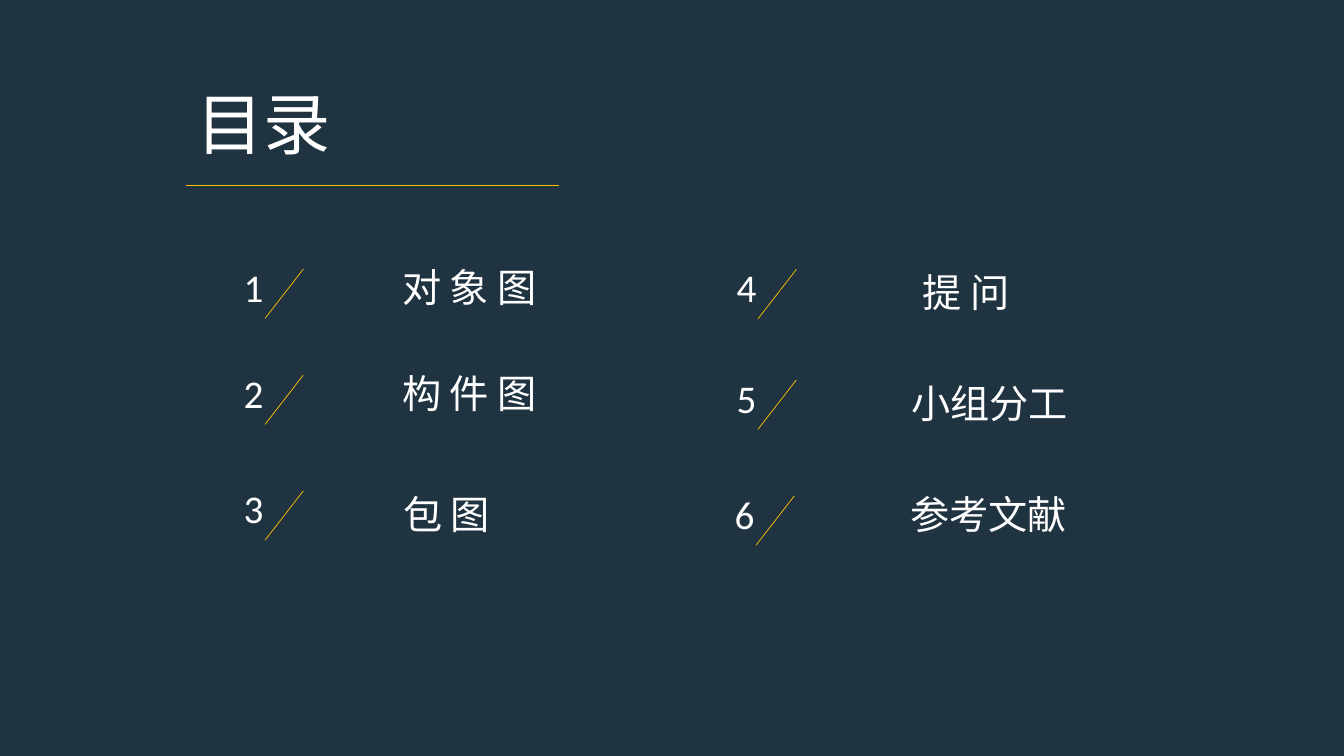
from dataclasses import dataclass

from lxml import etree
from pptx import Presentation
from pptx.dml.color import RGBColor
from pptx.enum import shapes, text
from pptx.oxml import ns
from pptx.util import Pt

NAVY = RGBColor(0x20, 0x33, 0x41)
GOLD = RGBColor(0xFF, 0xC0, 0x00)
WHITE = RGBColor(0xFF, 0xFF, 0xFF)
INSET = 7.2
LEFT, CENTER = text.PP_ALIGN.LEFT, text.PP_ALIGN.CENTER


@dataclass
class Entry:
    number: str
    label: str
    x: float          # left of the number
    y: float          # top of the number
    label_dx: float
    label_dy: float
    label_width: float = 275
    indent: float = 0
    align: text.PP_ALIGN = LEFT


ENTRIES = [
    Entry("1", "对 象 图", 167, 184.3, 49.7, 0, 335.5, indent=63.3),
    Entry("2", "构 件 图", 167, 260, 49.7, 0, indent=63.3),
    Entry("3", "包 图", 167, 342.7, 50.4, 3.6, indent=63.3),
    Entry("4", "提 问", 519.1, 184.6, 50.4, 3.6, indent=82.3),
    Entry("5", "小组分工", 519.1, 263.5, 50.4, 3.6, align=CENTER),
    Entry("6", "参考文献", 517.7, 346.3, 51.1, 0.7, align=CENTER),
]


def write(sp, content: str, size: float, font: str,
          align: text.PP_ALIGN = LEFT, indent: float = 0) -> None:
    tf = sp.text_frame
    tf.text = content
    tf.word_wrap = True
    tf.auto_size = text.MSO_AUTO_SIZE.NONE
    tf.vertical_anchor = text.MSO_ANCHOR.TOP
    tf.margin_left = Pt(INSET + indent)
    p = tf.paragraphs[0]
    p.alignment = align
    r = p.runs[0]
    r.font.size = Pt(size)
    r.font.name = font
    r.font.color.rgb = WHITE


def add_line(x1: float, y1: float, x2: float, y2: float, width: float) -> None:
    line = slide.shapes.add_connector(
        shapes.MSO_CONNECTOR.STRAIGHT, Pt(x1), Pt(y1), Pt(x2), Pt(y2))
    line.line.color.rgb = GOLD
    line.line.width = Pt(width)
    etree.SubElement(line._element.spPr, ns.qn("a:effectLst"))


def add_label(x: float, y: float, width: float, content: str,
              align: text.PP_ALIGN = LEFT, indent: float = 0) -> None:
    sp = slide.shapes.add_textbox(Pt(x), Pt(y), Pt(width), Pt(41.2))
    write(sp, content, 28, "Calibri", align, indent)


def add_entry(e: Entry) -> None:
    add_label(e.x + e.label_dx, e.y + e.label_dy, e.label_width,
              e.label, e.align, e.indent)
    add_line(e.x + 49.7, e.y + 7.9, e.x + 22.3, e.y + 43.2, 0.5)
    add_label(e.x, e.y, 26, e.number)


prs = Presentation()
prs.slide_width, prs.slide_height = Pt(960), Pt(540)
slide = prs.slides.add_slide(prs.slide_layouts[5])
slide.background.fill.solid()
slide.background.fill.fore_color.rgb = NAVY

# Heading and its rule
title = slide.shapes.title
title.left, title.top, title.width, title.height = Pt(133.2), Pt(55.4), Pt(152), Pt(65.5)
write(title, "目录", 48, "Noto Sans CJK SC")
add_line(133.2, 132.5, 399.6, 132.5, 1)

# Contents in two columns
for entry in ENTRIES:
    add_entry(entry)

prs.save("out.pptx")
